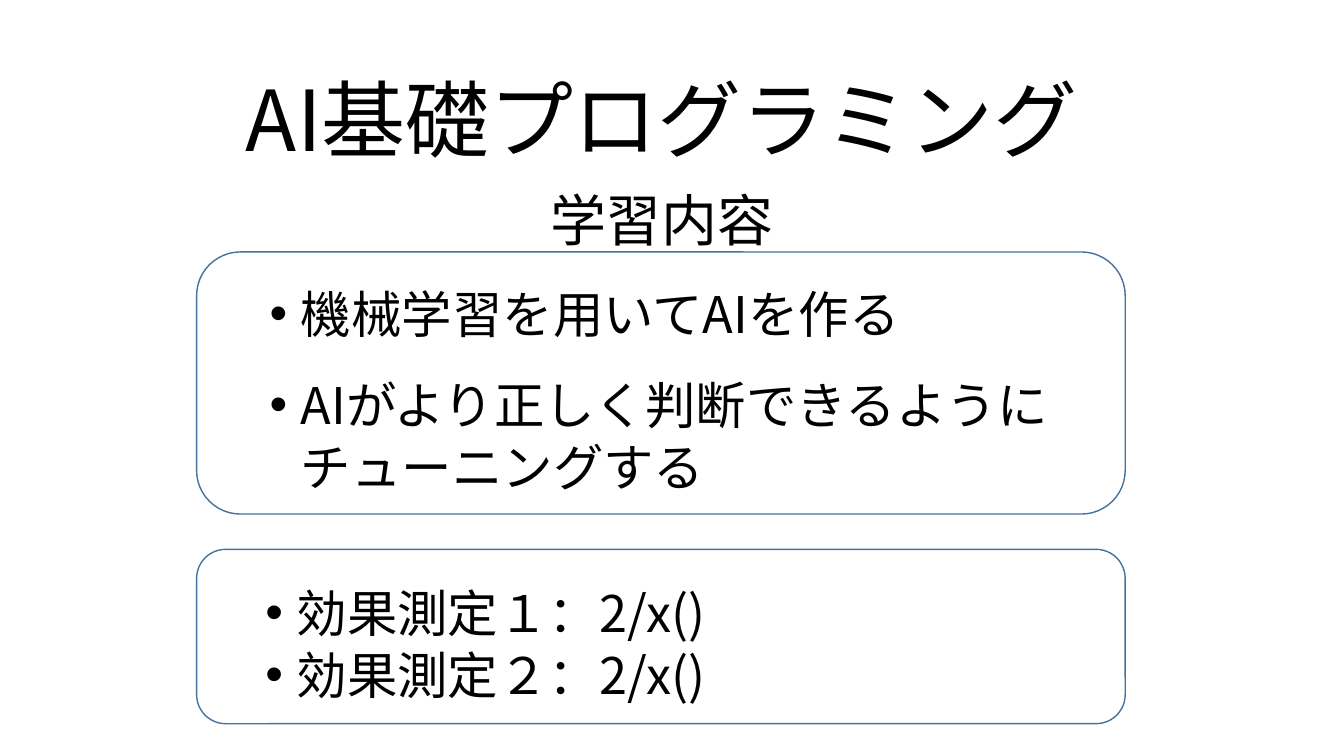
from lxml import etree
from pptx import Presentation
from pptx.dml.color import RGBColor
from pptx.enum.shapes import MSO_SHAPE
from pptx.enum.text import MSO_ANCHOR, PP_ALIGN
from pptx.oxml.ns import qn
from pptx.util import Emu, Pt

CENTER, LEFT = PP_ALIGN.CENTER, PP_ALIGN.LEFT
TOP, MIDDLE = MSO_ANCHOR.TOP, MSO_ANCHOR.MIDDLE
ROUNDED = MSO_SHAPE.ROUNDED_RECTANGLE
TITLE_ONLY = 5
EMU_PER_PX = 9144


def px(length):
    return Emu(length * EMU_PER_PX)


def color(value):
    return RGBColor.from_string(value)


class Deck:
    """Holds the style and the current slide."""

    font_name = "Noto Sans CJK JP"
    ink, outline = "000000", "43739E"
    line_height = 1.22
    bullet_margin, bullet_indent = 81, -31

    def __init__(self, width, height):
        self.presentation = Presentation()
        self.presentation.slide_width = px(width)
        self.presentation.slide_height = px(height)
        layout = self.presentation.slide_layouts[TITLE_ONLY]
        self.slide = self.presentation.slides.add_slide(layout)

    def set_frame(self, frame, anchor, wrap, top_inset):
        values = {
            "word_wrap": wrap, "vertical_anchor": anchor,
            "margin_left": px(10), "margin_right": px(10),
            "margin_top": px(top_inset), "margin_bottom": px(5),
        }
        for name, value in values.items():
            setattr(frame, name, value)

    def set_text(self, paragraph, text, size, align, gap=0):
        paragraph.text = text
        values = {
            "alignment": align, "line_spacing": Pt(round(size * self.line_height)),
            "space_before": Pt(gap), "space_after": Pt(0),
        }
        for name, value in values.items():
            setattr(paragraph, name, value)
        for run in paragraph.runs:
            run.font.name = self.font_name
            run.font.size = Pt(size)
            run.font.color.rgb = color(self.ink)
            east_asian = etree.SubElement(run.font._element, qn("a:ea"))
            east_asian.set("typeface", self.font_name)

    def heading(self, shape, text, size, top_inset):
        self.set_frame(shape.text_frame, TOP, False, top_inset)
        self.set_text(shape.text_frame.paragraphs[0], text, size, CENTER)

    def title(self, text, left, top, width, height):
        title = self.slide.shapes.title
        title.left, title.top = px(left), px(top)
        title.width, title.height = px(width), px(height)
        self.heading(title, text, 60, 12)

    def subtitle(self, text, left, top, width, height):
        box = self.slide.shapes.add_textbox(px(left), px(top), px(width), px(height))
        self.heading(box, text, 40, 10)

    def bullet(self, paragraph):
        properties = paragraph._p.get_or_add_pPr()
        properties.set("marL", str(px(self.bullet_margin)))
        properties.set("indent", str(px(self.bullet_indent)))
        etree.SubElement(properties, qn("a:buFont")).set("typeface", "Arial")
        etree.SubElement(properties, qn("a:buChar")).set("char", "•")

    def panel(self, items, left, top, width, height, gap=0):
        panel = self.slide.shapes.add_shape(
            ROUNDED, px(left), px(top), px(width), px(height))
        panel.shadow.inherit = False
        panel.fill.background()
        panel.line.color.rgb = color(self.outline)
        panel.line.width = Pt(1)
        frame = panel.text_frame
        self.set_frame(frame, MIDDLE, True, 17)
        for index, item in enumerate(items):
            paragraph = frame.add_paragraph() if index else frame.paragraphs[0]
            self.bullet(paragraph)
            self.set_text(paragraph, item, 36, LEFT, gap if index else 0)


def main():
    deck = Deck(1333, 750)

    # Headings
    deck.title("AI基礎プログラミング", 222, 54, 869, 111)
    deck.subtitle("学習内容", 534, 173, 245, 77)

    # Learning goals
    goals = ["機械学習を用いてAIを作る",
             "AIがより正しく判断できるように\vチューニングする"]
    deck.panel(goals, 195, 250, 921, 260, gap=21)

    # Assessments
    assessments = [f"効果測定{number}：2/x()" for number in "１２"]
    deck.panel(assessments, 195, 545, 921, 173)

    deck.presentation.save("out.pptx")


if __name__ == "__main__":
    main()
